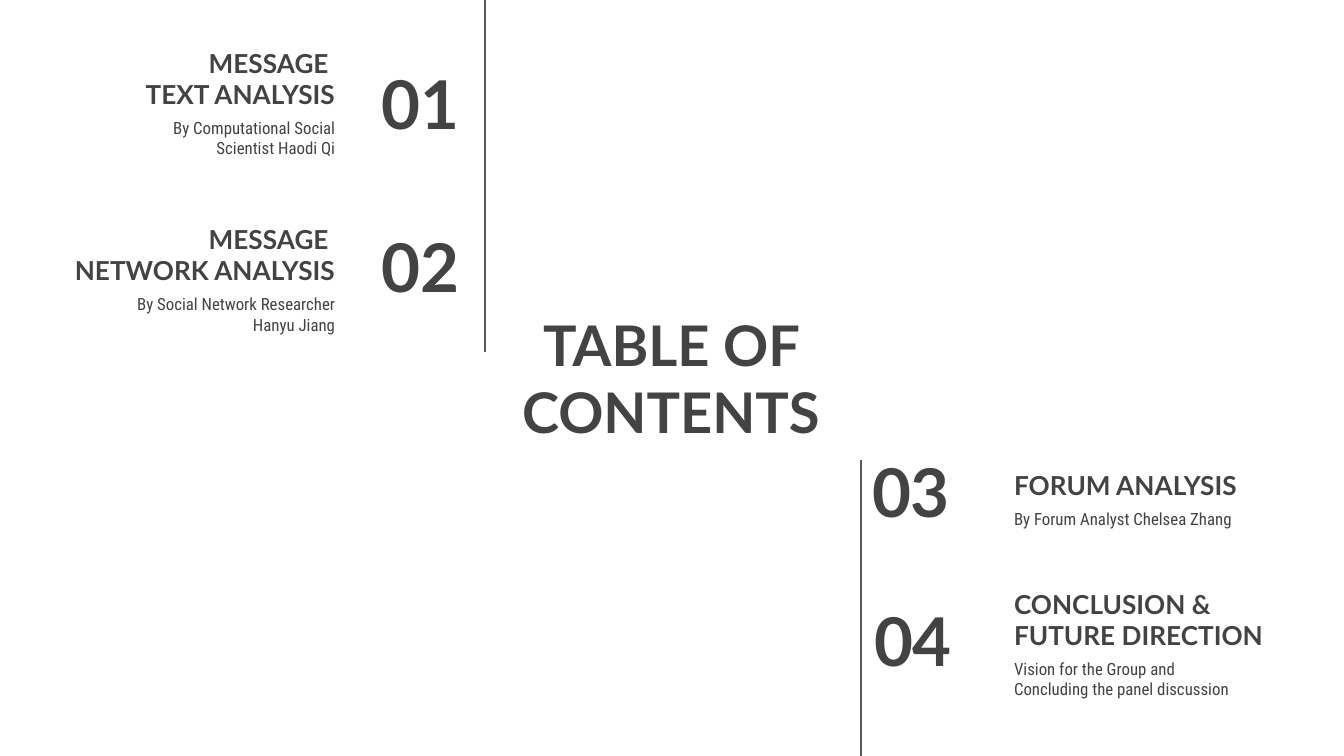
"""Build a table of contents slide with four numbered sections."""
import pptx
import pptx.dml.color
import pptx.enum.shapes
import pptx.enum.text
import pptx.oxml.ns
import pptx.util
from lxml import etree

SCALE = 914400 / 134.4
INK = pptx.dml.color.RGBColor(0x43, 0x43, 0x43)
RULE = pptx.dml.color.RGBColor(0x59, 0x59, 0x59)
LEFT = pptx.enum.text.PP_ALIGN.LEFT
MID = pptx.enum.text.PP_ALIGN.CENTER
RIGHT = pptx.enum.text.PP_ALIGN.RIGHT
ANCHOR = pptx.enum.text.MSO_ANCHOR


def px(n):
    return pptx.util.Emu(round(n * SCALE))


class Page:
    head_font = "Lato"
    body_font = "Roboto Condensed"
    inset = 13

    def __init__(self, slide):
        self.slide = slide

    def fill(self, shape, box, lines, size, align, anchor, bold=True):
        shape.left, shape.top, shape.width, shape.height = map(px, box)
        frame = shape.text_frame
        frame.word_wrap = True
        frame.auto_size = pptx.enum.text.MSO_AUTO_SIZE.NONE
        frame.vertical_anchor = anchor
        frame.margin_left = frame.margin_right = px(self.inset)
        frame.margin_top = frame.margin_bottom = px(self.inset)
        for i, line in enumerate(lines):
            para = frame.add_paragraph() if i else frame.paragraphs[0]
            para.alignment = align
            para.space_before = pptx.util.Pt(0)
            para.line_spacing = 1.0
            run = para.add_run()
            run.text = line
            run.font.size = pptx.util.Pt(size)
            run.font.name = self.head_font if bold else self.body_font
            run.font.bold = bold
            run.font.color.rgb = INK

    def title(self, box, text):
        self.fill(self.slide.shapes.title, box, [text], 30, MID, ANCHOR.MIDDLE)

    def text(self, box, *style):
        shape = self.slide.shapes.add_textbox(*map(px, box))
        self.fill(shape, box, *style)

    def rule(self, x, top, end):
        line = self.slide.shapes.add_connector(
            pptx.enum.shapes.MSO_CONNECTOR.STRAIGHT, px(x), px(top), px(x), px(end))
        line.line.color.rgb = RULE
        line.line.width = pptx.util.Pt(0.75)
        etree.SubElement(line._element.spPr, pptx.oxml.ns.qn("a:effectLst"))

    def section(self, top, align, num, spot, head, body):
        head_x, body_x = (58, 102) if align == RIGHT else (1001, 1001)
        self.text((head_x, top, 290, 85), head, 14, align, ANCHOR.BOTTOM)
        self.text((body_x, top + 67, 246, 85), [body], 9, align, ANCHOR.TOP, False)
        self.text((*spot, 163, 85), [num], 36, align, ANCHOR.MIDDLE)


def main():
    deck = pptx.Presentation()
    deck.slide_width, deck.slide_height = px(1344), px(756)
    page = Page(deck.slides.add_slide(deck.slide_layouts[5]))
    page.title((497, 309, 348, 138), "TABLE OF CONTENTS")
    page.rule(485, 0, 352)
    page.rule(861, 460, 756)
    sections = [
        (38, RIGHT, "01", (309, 60), ["MESSAGE ", "TEXT ANALYSIS"],
         "By Computational Social Scientist Haodi Qi"),
        (214, RIGHT, "02", (309, 223), ["MESSAGE ", "NETWORK ANALYSIS"],
         "By Social Network Researcher Hanyu Jiang"),
        (429, LEFT, "03", (859, 448), ["FORUM ANALYSIS"],
         "By Forum Analyst Chelsea Zhang"),
        (579, LEFT, "04", (861, 597), ["CONCLUSION & FUTURE DIRECTION"],
         "Vision for the Group and Concluding the panel discussion"),
    ]
    for item in sections:
        page.section(*item)
    deck.save("out.pptx")


if __name__ == "__main__":
    main()
